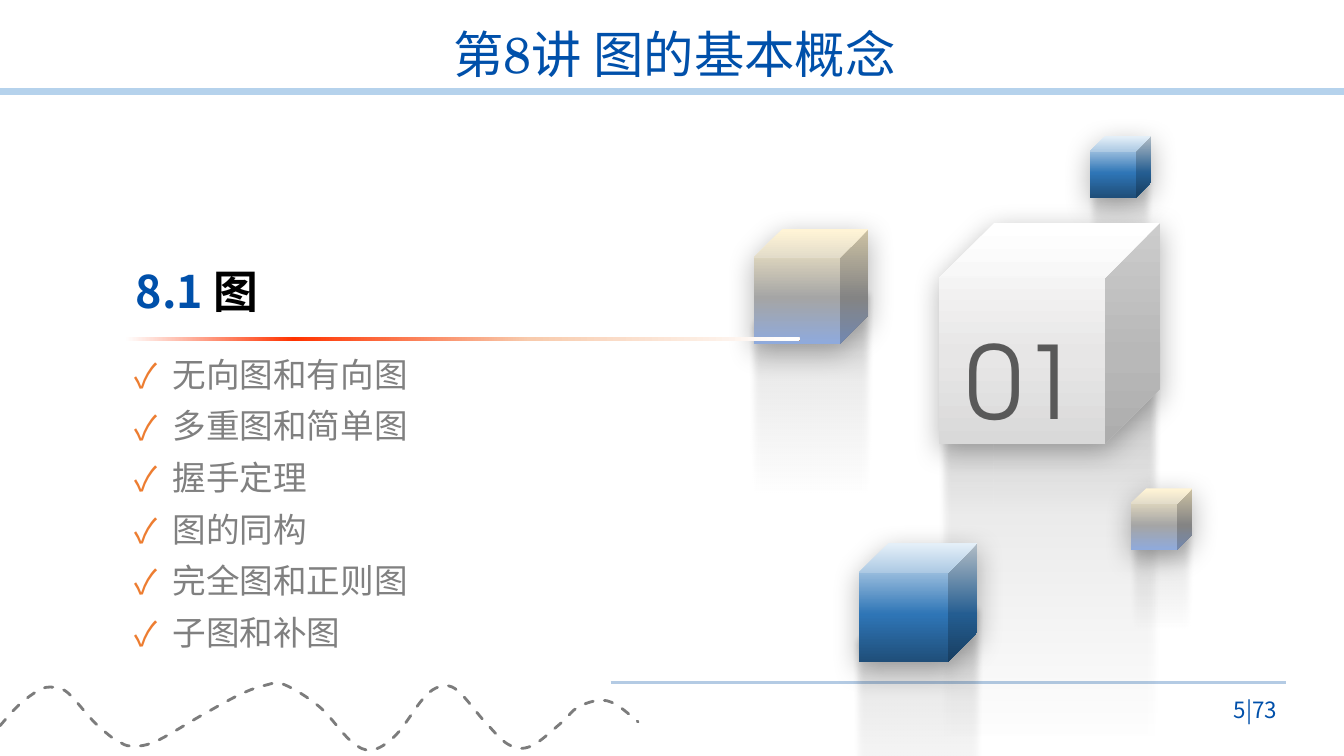
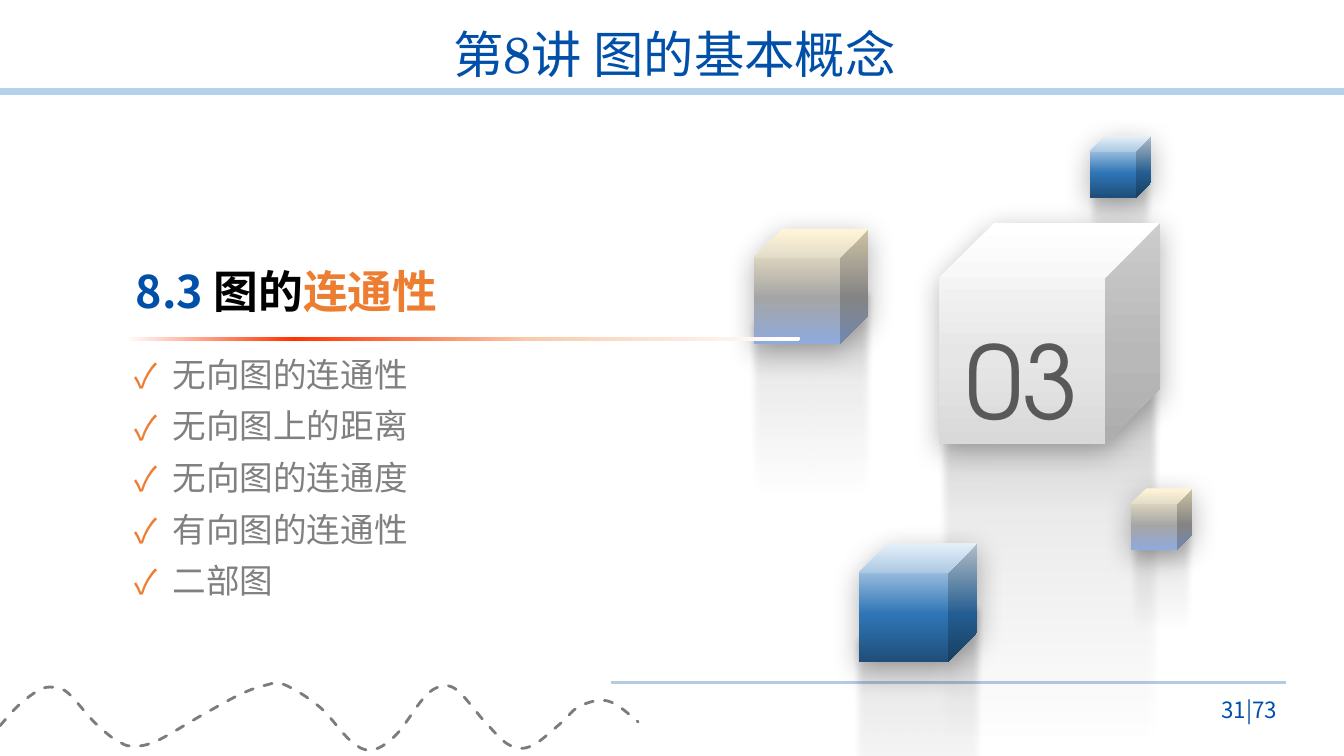
from lxml.etree import SubElement
from pptx import Presentation
from pptx.dml.color import RGBColor
from pptx.enum.dml import MSO_LINE
from pptx.enum.shapes import MSO_CONNECTOR, MSO_SHAPE
from pptx.enum.text import MSO_ANCHOR, PP_ALIGN
from pptx.oxml.ns import qn
from pptx.util import Cm, Pt

BLUE, ORANGE, BLACK, GRAY = "0050AA", "ED7D31", "000000", "808080"
BAND, FOOTER_RULE, WAVE, NUMERAL = "B5D2EC", "B4CBE4", "7C7C7C", "595959"
SANS, SERIF, GEOMETRIC = "Noto Sans CJK SC", "TeX Gyre Schola", "TeX Gyre Adventor"

TITLE = "第8讲 图的基本概念"
TITLE_FONT = {"size": Pt(36), "name": SERIF}
HEADING_FONT = {"size": Pt(32), "name": SANS, "bold": True}
TOPIC_FONT = {"size": Pt(24), "name": SANS}
PAGE_FONT = {"size": Pt(16), "name": SANS}
NUMERAL_FONT = {"size": Pt(72), "name": GEOMETRIC}

BLUE_FACE = [(1, "DEEBF7", 100), (60, "2E75B6", 100), (100, "1F4E79", 100)]
SAND_FACE = [(1, "FFF2CC", 100), (60, "A5A5A5", 100), (100, "8FAADC", 100)]
WHITE_FACE = [(0, "FFFFFF", 100), (60, "E7E6E6", 100), (100, "D9D9D9", 100)]
REFLECTION = [(30, BLACK, 0), (50, BLACK, 4), (70, BLACK, 8), (100, "262626", 30)]
FLAME = [(0, "FFFFFF", 100), (25, "FF3300", 100), (60, "F8CBAD", 100), (99, "FFFFFF", 100)]

CUBES = [
    ((27.46, 3.43, 1.55), (1.73, 4.22, 4.22), BLUE_FACE),
    ((23.67, 5.61, 5.57), (5.64, 8.43, 15.09), WHITE_FACE),
    ((21.64, 13.69, 2.99), (3.33, 15.19, 8.13), BLUE_FACE),
    ((28.5, 12.31, 1.55), (1.73, 13.11, 4.22), SAND_FACE),
    ((19, 5.77, 2.89), (3.2, 7.24, 7.85), SAND_FACE),
]

WAVE_KNOTS = [
    (0, 18.29), (0.43, 17.81), (0.84, 17.48), (1.17, 17.32), (1.57, 17.37),
    (1.85, 17.6), (2.34, 18.16), (2.74, 18.52), (3, 18.69), (3.3, 18.8),
    (3.91, 18.69), (5.11, 18.01), (6.05, 17.5), (6.68, 17.27), (7.16, 17.25),
    (8.05, 17.81), (8.84, 18.67), (9.37, 18.9), (9.98, 18.52), (10.67, 17.6),
    (11.1, 17.3), (11.53, 17.4), (12.24, 18.21), (12.83, 18.77), (13.39, 18.8),
    (14.15, 18.21), (14.55, 17.83), (15.09, 17.65), (15.52, 17.75), (16.08, 18.19),
]

SECTIONS = [
    {
        "numeral": "01", "page": "5|73", "heading_width": 3.6,
        "heading": [("8.1 ", BLUE), ("图", BLACK)],
        "topics": ["无向图和有向图", "多重图和简单图", "握手定理",
                   "图的同构", "完全图和正则图", "子图和补图"],
    },
    {
        "numeral": "03", "page": "31|73", "heading_width": 8.2,
        "heading": [("8.3 ", BLUE), ("图的", BLACK), ("连通性", ORANGE)],
        "topics": ["无向图的连通性", "无向图上的距离", "无向图的连通度",
                   "有向图的连通性", "二部图"],
    },
]


def rgb(value):
    return RGBColor.from_string(value)


def apply_format(target, values):
    for name, value in values.items():
        setattr(target, name, value)


def add_run(paragraph, text, font, color):
    run = paragraph.add_run()
    run.text = text
    run.font.color.rgb = rgb(color)
    apply_format(run.font, font)
    SubElement(run.font._element, qn("a:ea"), typeface=SANS)


def add_text(slide, box, runs, font, paragraph_format, anchor=MSO_ANCHOR.MIDDLE, bullet=None):
    frame = slide.shapes.add_textbox(*map(Cm, box)).text_frame
    apply_format(frame, {"word_wrap": True, "vertical_anchor": anchor})
    paragraph = frame.paragraphs[0]
    apply_format(paragraph, paragraph_format)
    if bullet:
        add_bullet(paragraph, bullet)
    for text, color in runs:
        add_run(paragraph, text, font, color)


def add_bullet(paragraph, mark):
    properties = paragraph._p.get_or_add_pPr()
    properties.set("marL", str(Cm(0.95)))
    properties.set("indent", str(Cm(-0.95)))
    SubElement(SubElement(properties, qn("a:buClr")), qn("a:srgbClr"), val=ORANGE)
    SubElement(properties, qn("a:buFont"), typeface=SANS)
    SubElement(properties, qn("a:buChar"), char=mark)


def add_color(parent, color, alpha):
    node = SubElement(parent, qn("a:srgbClr"), val=color)
    SubElement(node, qn("a:alpha"), val=str(alpha * 1000))


def add_gradient_shape(slide, preset, box, stops, angle):
    shape = slide.shapes.add_shape(preset, *map(Cm, box))
    gradient = SubElement(shape._element.spPr, qn("a:gradFill"), rotWithShape="1")
    stop_list = SubElement(gradient, qn("a:gsLst"))
    for position, color, alpha in stops:
        add_color(SubElement(stop_list, qn("a:gs"), pos=str(position * 1000)), color, alpha)
    SubElement(gradient, qn("a:lin"), ang=str(angle * 60000), scaled="0")
    shape.line.fill.background()
    shape.shadow.inherit = False
    return shape


def add_effect(shape, tag, **settings):
    effects = shape._element.spPr.find(qn("a:effectLst"))
    return SubElement(effects, qn(tag), **settings)


def add_cube(slide, block, reflection, face):
    left, top, size = block
    width, mirror_top, height = reflection
    mirror_left = left + (size - width) / 2
    mirror = add_gradient_shape(
        slide, MSO_SHAPE.CUBE, (mirror_left, mirror_top, width, height), REFLECTION, 90)
    mirror.rotation = 180
    add_effect(mirror, "a:softEdge", rad=str(Pt(5)))
    cube = add_gradient_shape(slide, MSO_SHAPE.CUBE, (left, top, size, size), face, 90)
    shadow = add_effect(cube, "a:outerShdw", blurRad=str(Pt(20)), dist=str(Pt(5)),
                        dir="5400000", algn="ctr", rotWithShape="0")
    add_color(shadow, BLACK, 30)
    return cube


def add_numeral(cube, numeral):
    cube.text_frame.vertical_anchor = MSO_ANCHOR.MIDDLE
    paragraph = cube.text_frame.paragraphs[0]
    apply_format(paragraph, {"alignment": PP_ALIGN.CENTER, "line_spacing": 1.3})
    add_run(paragraph, numeral, NUMERAL_FONT, NUMERAL)


def add_rule(slide, start, end, y, color, weight):
    rule = slide.shapes.add_connector(MSO_CONNECTOR.STRAIGHT, Cm(start), Cm(y), Cm(end), Cm(y))
    rule.line.color.rgb = rgb(color)
    rule.line.width = Pt(weight)
    SubElement(rule._element.spPr, qn("a:effectLst"))


def curve_segments(outline):
    segments = list(outline)
    knots = [(int(node[0].get("x")), int(node[0].get("y"))) for node in segments]
    padded = [knots[0], *knots, knots[-1]]
    for segment in segments[1:]:
        outline.remove(segment)
    for before, start, end, after in zip(padded, padded[1:], padded[2:], padded[3:]):
        leave = [s + (e - b) / 6 for b, s, e in zip(before, start, end)]
        arrive = [e - (a - s) / 6 for s, e, a in zip(start, end, after)]
        curve = SubElement(outline, qn("a:cubicBezTo"))
        for x, y in (leave, arrive, end):
            SubElement(curve, qn("a:pt"), x=str(round(x)), y=str(round(y)))


def add_wave(slide):
    start, *rest = [(Cm(x), Cm(y)) for x, y in WAVE_KNOTS]
    builder = slide.shapes.build_freeform(*start)
    builder.add_line_segments(rest, close=False)
    wave = builder.convert_to_shape()
    curve_segments(next(wave._element.iter(qn("a:path"))))
    wave.fill.background()
    wave.line.color.rgb = rgb(WAVE)
    apply_format(wave.line, {"width": Pt(2), "dash_style": MSO_LINE.DASH})
    wave._element.spPr.find(qn("a:ln")).set("cap", "rnd")
    wave.shadow.inherit = False


def add_topics(slide, topics):
    for index, topic in enumerate(topics):
        add_text(slide, (3.15, 8.79 + 1.3 * index, 12, 1.27), [(topic, GRAY)], TOPIC_FONT,
                 {"line_spacing": Pt(28.8)}, MSO_ANCHOR.TOP, "✓")


def add_frame(slide, page):
    add_rule(slide, 0, 33.87, 2.31, BAND, 5)
    add_rule(slide, 15.39, 32.41, 17.2, FOOTER_RULE, 1.75)
    add_wave(slide)
    add_text(slide, (4, 0.62, 26, 1.65), [(TITLE, BLUE)], TITLE_FONT,
             {"alignment": PP_ALIGN.CENTER, "line_spacing": 0.9})
    add_text(slide, (29.76, 17.37, 2.67, 1.02), [(page, BLUE)], PAGE_FONT,
             {"alignment": PP_ALIGN.RIGHT})


def add_section(slide, section):
    add_frame(slide, section["page"])
    for block, reflection, face in CUBES:
        cube = add_cube(slide, block, reflection, face)
        if face is WHITE_FACE:
            add_numeral(cube, section["numeral"])
    add_text(slide, (3.17, 6.5, section["heading_width"], 1.63), section["heading"],
             HEADING_FONT, {"line_spacing": Pt(38.5)}, MSO_ANCHOR.BOTTOM)
    rule = add_gradient_shape(
        slide, MSO_SHAPE.ROUNDED_RECTANGLE, (3.15, 8.49, 17, 0.1), FLAME, 0)
    rule.adjustments[0] = 0.5
    add_topics(slide, section["topics"])


def main():
    deck = Presentation()
    apply_format(deck, {"slide_width": Cm(33.87), "slide_height": Cm(19.05)})
    for section in SECTIONS:
        add_section(deck.slides.add_slide(deck.slide_layouts[6]), section)
    deck.save("out.pptx")


if __name__ == "__main__":
    main()
